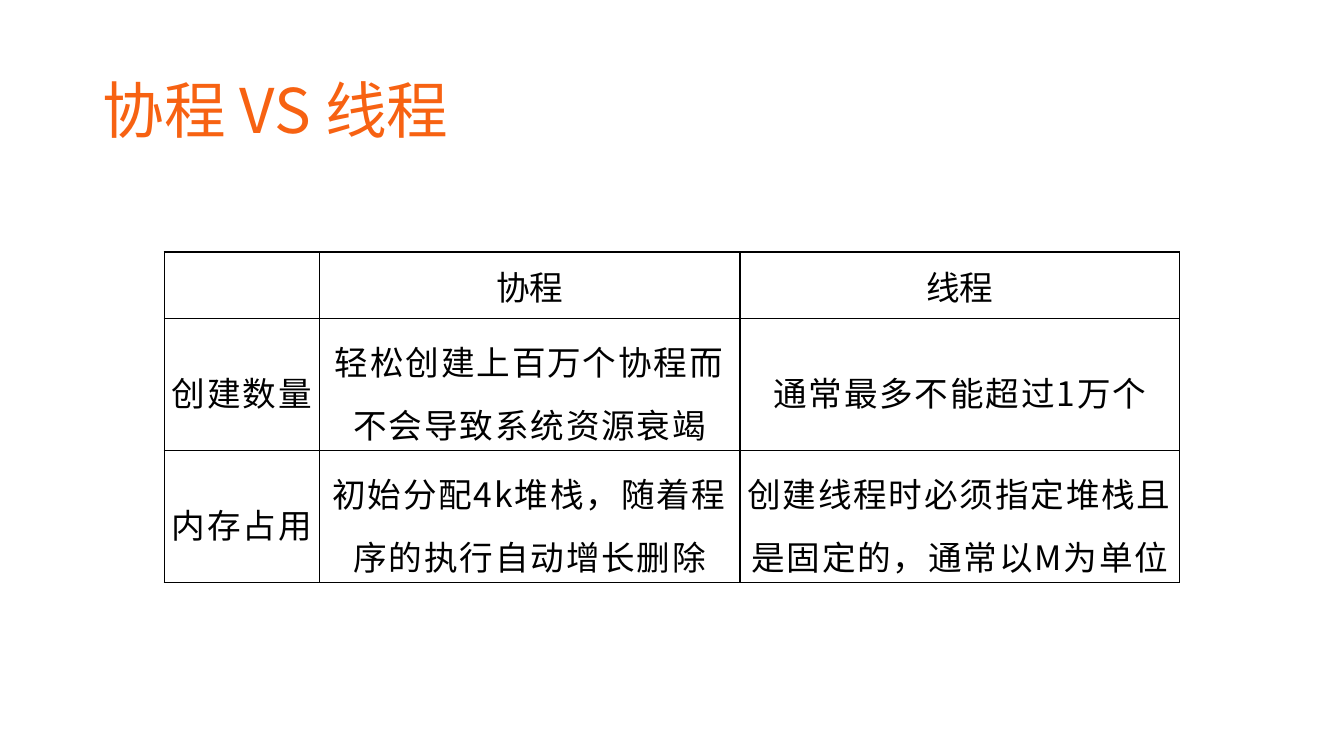
from lxml.etree import SubElement
from pptx import Presentation
from pptx.dml.color import RGBColor
from pptx.enum.text import MSO_ANCHOR, PP_ALIGN
from pptx.oxml.ns import qn
from pptx.util import Inches, Pt

FONT = "Noto Sans CJK SC"
ORANGE, BLACK = "F76212", "000000"
COLUMN_WIDTHS = [1.54, 4.17, 4.36]
ROW_HEIGHTS = [0.66, 1.31, 1.31]
COMPARISON = [
    ["", "协程", "线程"],
    ["创建数量", "轻松创建上百万个协程而不会导致系统资源衰竭", "通常最多不能超过1万个"],
    ["内存占用", "初始分配4k堆栈，随着程序的执行自动增长删除",
     "创建线程时必须指定堆栈且是固定的，通常以M为单位"],
]


def color(hex_string):
    return RGBColor.from_string(hex_string)


def write(frame, text, size, fill, align=PP_ALIGN.LEFT, line_spacing=None, tracking=None):
    """Put one formatted paragraph in the frame; tracking is in points."""
    frame.word_wrap = True
    paragraph = frame.paragraphs[0]
    paragraph.alignment = align
    if line_spacing:
        paragraph.line_spacing = line_spacing
    run = paragraph.add_run()
    run.text = text
    run.font.size = Pt(size)
    run.font.name = FONT
    run.font.color.rgb = color(fill)
    properties = run.font._element
    SubElement(properties, qn("a:ea"), typeface=FONT)
    if tracking:
        properties.set("spc", str(round(tracking * 100)))


def add_borders(cell, fill, width):
    properties = cell._tc.get_or_add_tcPr()
    for side in ("a:lnL", "a:lnR", "a:lnT", "a:lnB"):
        line = SubElement(properties, qn(side), w=str(Pt(width)))
        solid = SubElement(line, qn("a:solidFill"))
        SubElement(solid, qn("a:srgbClr"), val=fill)


def add_title(slide, left, top, width, height):
    title = slide.shapes.add_textbox(Inches(left), Inches(top), Inches(width), Inches(height))
    title.text_frame.vertical_anchor = MSO_ANCHOR.MIDDLE
    write(title.text_frame, "协程 VS 线程", size=44, fill=ORANGE, line_spacing=0.9)


def add_comparison(slide, left, top):
    table = slide.shapes.add_table(
        len(ROW_HEIGHTS), len(COLUMN_WIDTHS), Inches(left), Inches(top),
        Inches(sum(COLUMN_WIDTHS)), Inches(sum(ROW_HEIGHTS))).table
    table.first_row = table.horz_banding = False
    for column, width in zip(table.columns, COLUMN_WIDTHS):
        column.width = Inches(width)
    for row, height in zip(table.rows, ROW_HEIGHTS):
        row.height = Inches(height)
    for row_index, texts in enumerate(COMPARISON):
        body_format = dict(line_spacing=1.3, tracking=1.3) if row_index else {}
        for column_index, text in enumerate(texts):
            cell = table.cell(row_index, column_index)
            cell.margin_left = cell.margin_right = cell.margin_top = Inches(0.01)
            cell.margin_bottom = 0
            cell.vertical_anchor = MSO_ANCHOR.MIDDLE
            add_borders(cell, BLACK, 1)
            cell.fill.background()
            if text:
                write(cell.text_frame, text, size=24, fill=BLACK,
                      align=PP_ALIGN.CENTER, **body_format)


def main():
    deck = Presentation()
    deck.slide_width, deck.slide_height = Inches(13.33), Inches(7.5)
    slide = deck.slides.add_slide(deck.slide_layouts[6])
    add_title(slide, 0.92, 0.4, 11.5, 1.45)
    add_comparison(slide, 1.63, 2.5)
    deck.save("out.pptx")


if __name__ == "__main__":
    main()
